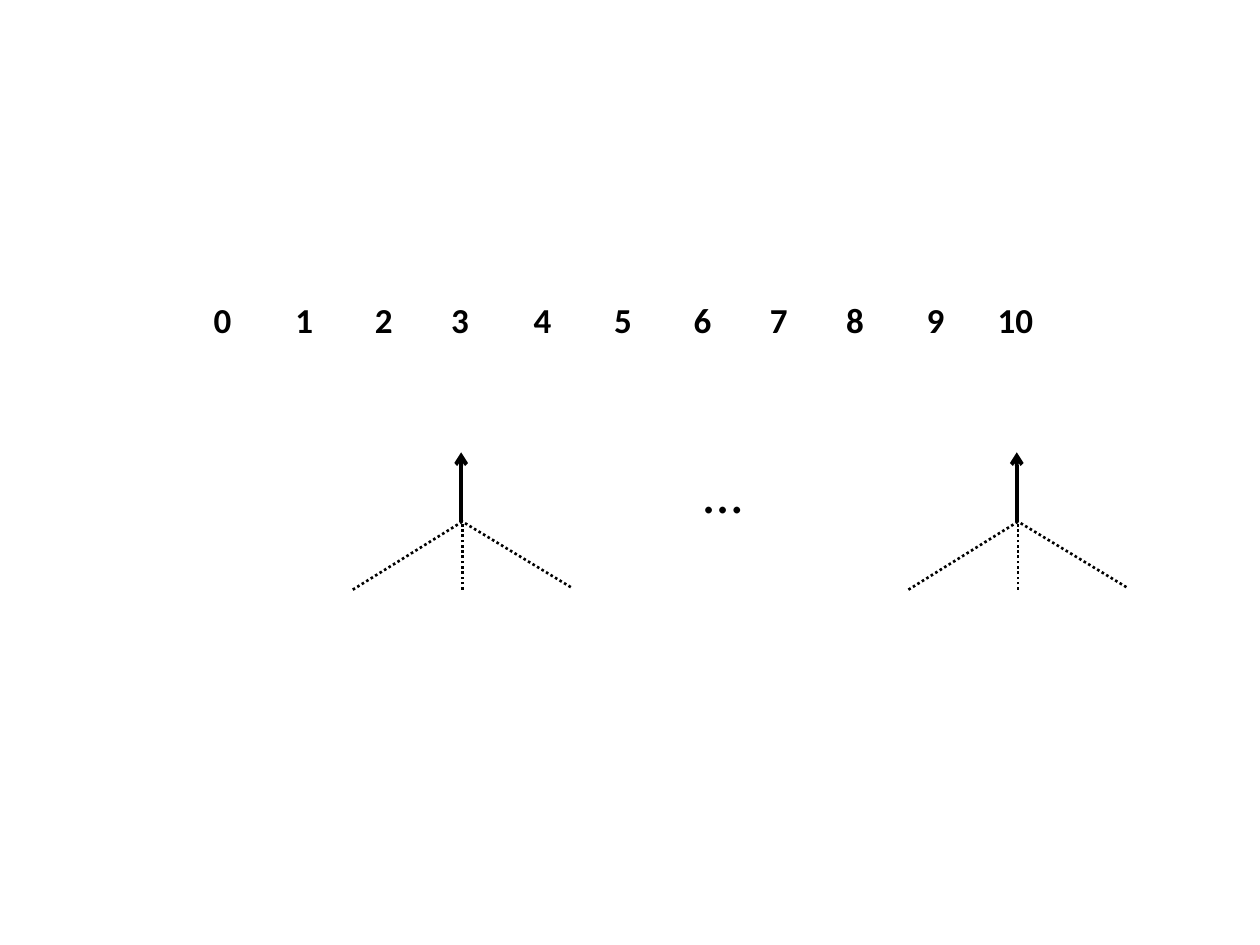
from lxml.etree import SubElement
from pptx import Presentation
from pptx.dml.color import RGBColor
from pptx.enum.dml import MSO_LINE_DASH_STYLE as Dash
from pptx.enum.shapes import MSO_CONNECTOR as Connector
from pptx.enum.text import MSO_AUTO_SIZE as AutoSize, PP_ALIGN as Align
from pptx.oxml.ns import qn
from pptx.util import Inches, Pt

COLUMNS, ROWS = 100, 75


def color(hex_code):
    """Turn a hex string into a colour."""
    return RGBColor.from_string(hex_code)


class Diagram:
    """Hold the style and the current slide, measured in grid columns and rows."""

    font = "Calibri"
    ink = "000000"

    def __init__(self, deck):
        """Add a blank slide and size its grid."""
        self.slide = deck.slides.add_slide(deck.slide_layouts[6])
        self.column = deck.slide_width / COLUMNS
        self.row = deck.slide_height / ROWS

    def place(self, x, y):
        """Convert a grid position to slide lengths."""
        return round(x * self.column), round(y * self.row)

    def label(self, shapes, words, left, top, width, height, size, bold, align):
        """Write one line of text in a box that fits it."""
        box = shapes.add_textbox(*self.place(left, top), *self.place(width, height))
        frame = box.text_frame
        frame.word_wrap = True
        frame.auto_size = AutoSize.SHAPE_TO_FIT_TEXT
        paragraph = frame.paragraphs[0]
        paragraph.alignment = align
        run = paragraph.add_run()
        run.text = words
        run.font.name = self.font
        run.font.size = Pt(size)
        run.font.bold = bold
        run.font.color.rgb = color(self.ink)

    def line(self, start, end, weight):
        """Draw a plain straight line."""
        stroke = self.slide.shapes.add_connector(
            Connector.STRAIGHT, *self.place(*start), *self.place(*end))
        stroke.line.color.rgb = color(self.ink)
        stroke.line.width = Pt(weight)
        SubElement(stroke._element.spPr, qn("a:effectLst"))
        return stroke

    def arrow(self, start, end):
        """Draw a solid line with an open arrowhead at its end."""
        shaft = self.line(start, end, 2.25)
        SubElement(shaft.line._get_or_add_ln(), qn("a:tailEnd"), type="arrow")

    def dotted(self, start, end):
        """Draw a dotted line."""
        self.line(start, end, 1.5).line.dash_style = Dash.ROUND_DOT

    def number_row(self, centers):
        """Write consecutive numbers from zero in one group."""
        group = self.slide.shapes.add_group_shape()
        for number, center in enumerate(centers):
            width = 4.9 if number < 10 else 6
            self.label(group.shapes, str(number), center - width / 2, 23.2,
                       width, 4.4, 20, True, Align.CENTER)

    def pointer(self, x):
        """Draw an upward arrow fed by three dotted legs."""
        joint = (x + 0.1, 41.4)
        self.arrow((x, 41.4), (x, 35.9))
        for offset, foot in ((-8.6, 46.8), (0.1, 46.8), (8.7, 46.6)):
            self.dotted((x + offset, foot), joint)


def main():
    """Build and save the number sequence slide."""
    deck = Presentation()
    deck.slide_width, deck.slide_height = Inches(10), Inches(7.5)
    diagram = Diagram(deck)
    diagram.number_row(
        (17.65, 24.15, 30.45, 36.5, 43.05, 49.45, 55.75, 61.8, 67.85, 74.25, 80.6))
    diagram.label(diagram.slide.shapes, "...", 54.7, 35.8, 5.7, 6.4,
                  32, False, Align.LEFT)
    for x in (36.6, 80.7):
        diagram.pointer(x)
    deck.save("out.pptx")


if __name__ == "__main__":
    main()
